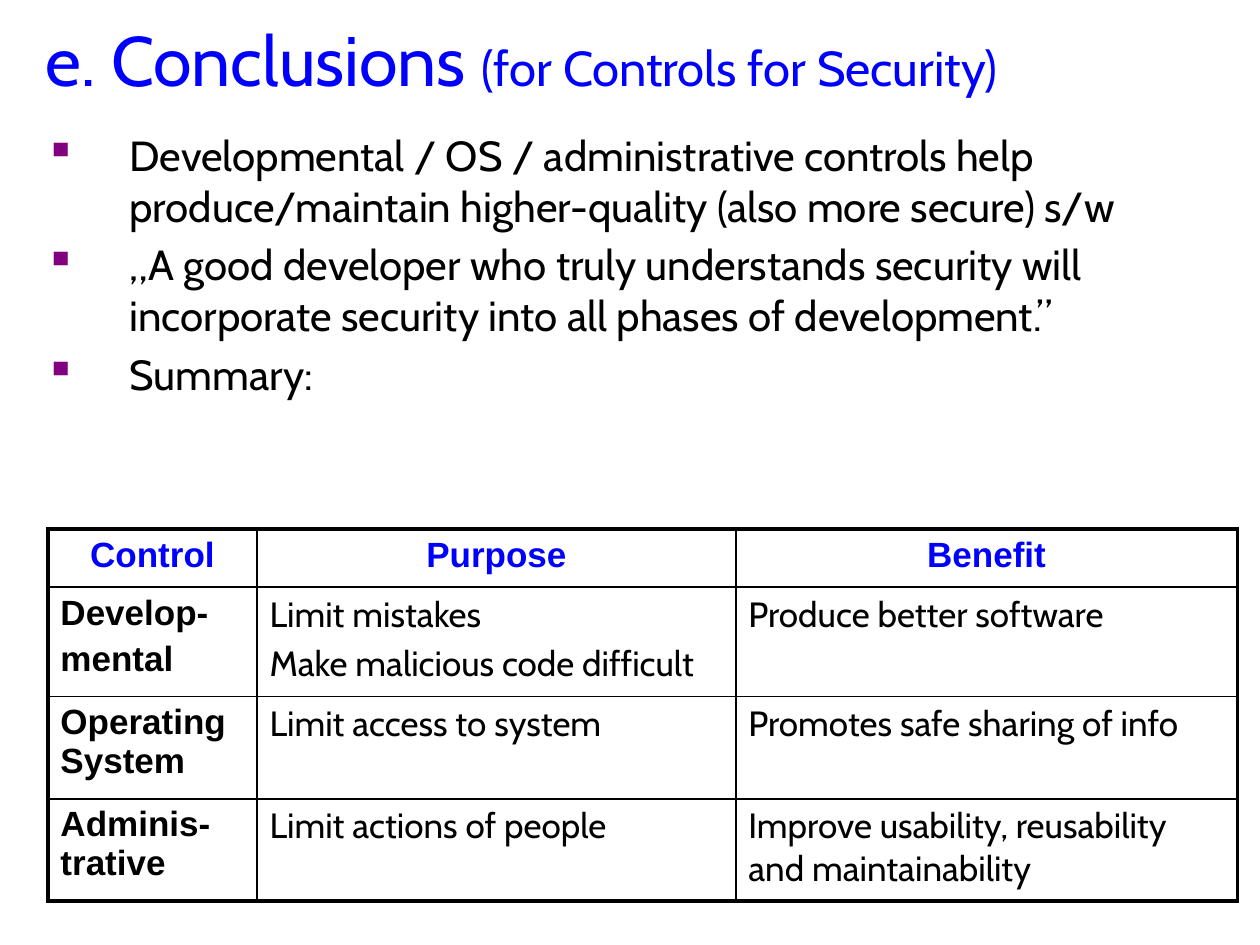
"""Build the conclusions slide on controls for security."""
import pptx
import pptx.dml.color
import pptx.enum.text
import pptx.oxml
import pptx.util
from dataclasses import dataclass
from lxml import etree
from pptx.oxml.ns import qn
from pptx.util import Inches, Pt


@dataclass(frozen=True)
class Theme:
    heading: str = "0000FF"
    text: str = "000000"
    bullet: str = "800080"
    body_font: str = "Cabin"
    label_font: str = "Arial"
    title_size: int = 40
    subtitle_size: int = 28
    body_size: int = 24
    table_size: int = 20
    thin: float = 1
    thick: float = 2.25


theme = Theme()


def style(r, size, color, font=theme.body_font, bold=False):
    r.font.size = Pt(size)
    r.font.name = font
    r.font.bold = bold
    r.font.color.rgb = pptx.dml.color.RGBColor.from_string(color)


def add_border(cell, side, width):
    ln = etree.SubElement(cell._tc.get_or_add_tcPr(), qn(f"a:ln{side}"), w=str(Pt(width)))
    fill = etree.SubElement(ln, qn("a:solidFill"))
    etree.SubElement(fill, qn("a:srgbClr"), val=theme.text)


prs = pptx.Presentation()
prs.slide_width, prs.slide_height = Inches(10), Inches(7.5)
s = prs.slides.add_slide(prs.slide_layouts[5])

title = s.shapes.title
title.left, title.top = Inches(0.26), Inches(0.08)
title.width, title.height = Inches(9.74), Inches(0.8)
tf = title.text_frame
tf.auto_size = pptx.enum.text.MSO_AUTO_SIZE.NONE
tf.vertical_anchor = pptx.enum.text.MSO_ANCHOR.TOP
p = tf.paragraphs[0]
p.alignment = pptx.enum.text.PP_ALIGN.LEFT
for text, size in (("e. Conclusions ", theme.title_size),
                   ("(for Controls for Security)", theme.subtitle_size)):
    r = p.add_run()
    r.text = text
    style(r, size, theme.heading)

bullets = [
    "Developmental / OS / administrative controls help produce/maintain higher-quality (also more secure) s/w",
    "„A good developer who truly understands security will incorporate security into all phases of development.”",
    "Summary:",
]
body = s.shapes.add_textbox(Inches(0.26), Inches(0.98), Inches(9.74), Inches(2.4))
tf = body.text_frame
tf.word_wrap = True
tf.text = "\n".join(bullets)
for p in tf.paragraphs:
    p.space_after = Pt(4.8)
    style(p.runs[0], theme.body_size, theme.text)
    pPr = p._p.get_or_add_pPr()
    pPr.set("marL", str(Inches(0.67)))
    pPr.set("indent", str(Inches(-0.67)))
    color = etree.SubElement(pPr, qn("a:buClr"))
    etree.SubElement(color, qn("a:srgbClr"), val=theme.bullet)
    etree.SubElement(pPr, qn("a:buChar"), char="▪")

rows = [
    ("Control", "Purpose", "Benefit"),
    ("Develop-\nmental", "Limit mistakes\nMake malicious code difficult", "Produce better software"),
    ("Operating\vSystem", "Limit access to system", "Promotes safe sharing of info"),
    ("Adminis-\vtrative", "Limit actions of people", "Improve usability, reusability and maintainability"),
]
col_widths = [1.66, 3.8, 3.98]
row_heights = [0.46, 0.87, 0.81, 0.81]
last_row, last_col = len(rows) - 1, len(col_widths) - 1
table = s.shapes.add_table(len(rows), len(col_widths), Inches(0.38), Inches(4.2),
                           Inches(sum(col_widths)), Inches(sum(row_heights))).table
table.first_row = table.horz_banding = False
for col, width in zip(table.columns, col_widths):
    col.width = Inches(width)
for row, height in zip(table.rows, row_heights):
    row.height = Inches(height)

for i, texts in enumerate(rows):
    for j, text in enumerate(texts):
        cell = table.cell(i, j)
        outer = {"L": j == 0, "R": j == last_col, "T": i == 0, "B": i == last_row}
        for side, is_outer in outer.items():
            add_border(cell, side, theme.thick if is_outer else theme.thin)
        cell.fill.background()
        cell.text_frame.text = text
        label = i == 0 or j == 0
        for n, p in enumerate(cell.text_frame.paragraphs):
            if i == 0:
                p.alignment = pptx.enum.text.PP_ALIGN.CENTER
            if n:
                p.space_before = Pt(4)
            for r in p.runs:
                style(r, theme.table_size, theme.heading if i == 0 else theme.text,
                      theme.label_font if label else theme.body_font, label)

prs.save("out.pptx")
